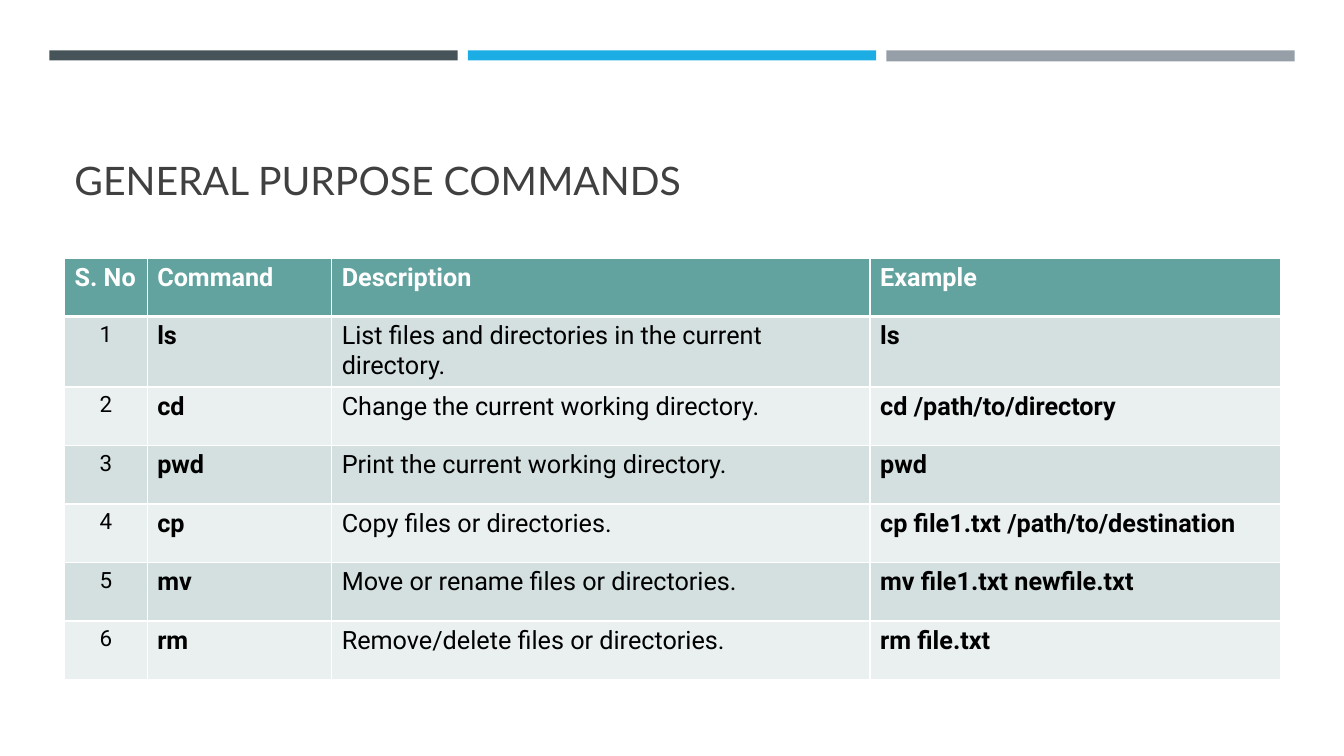
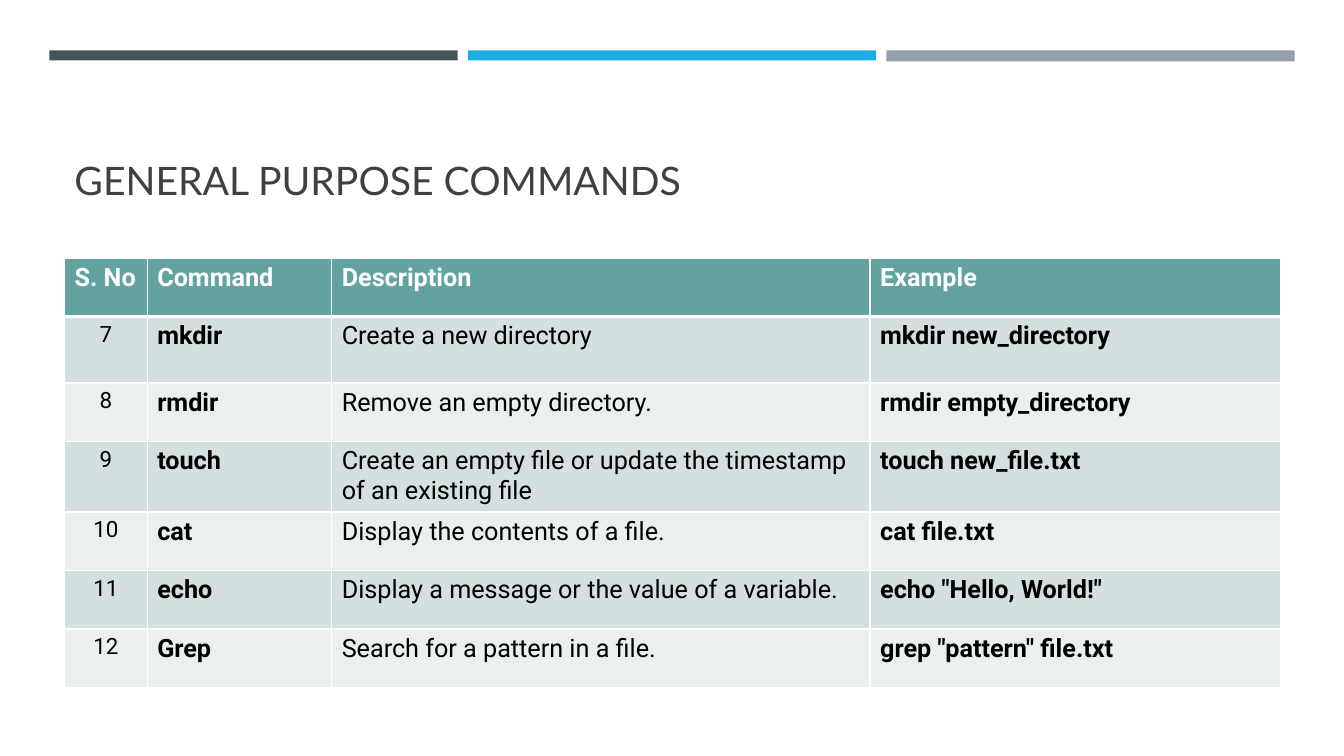
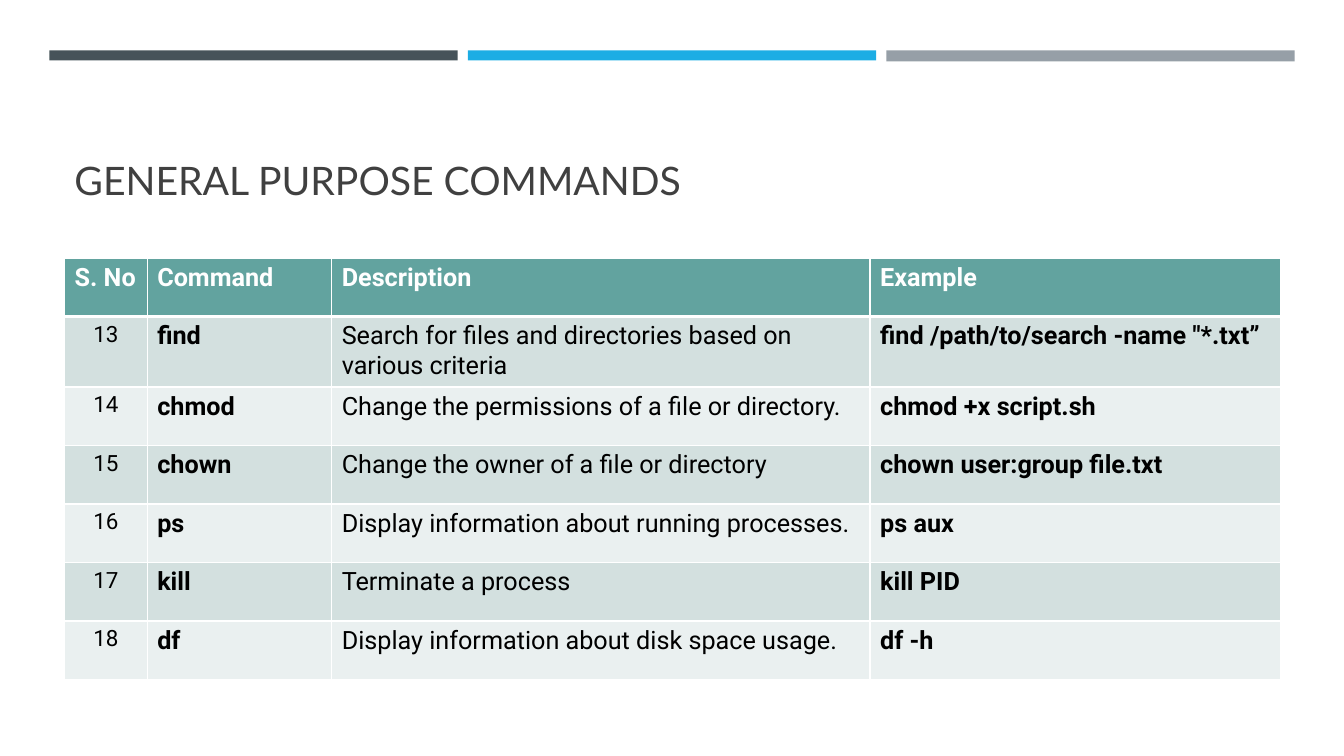
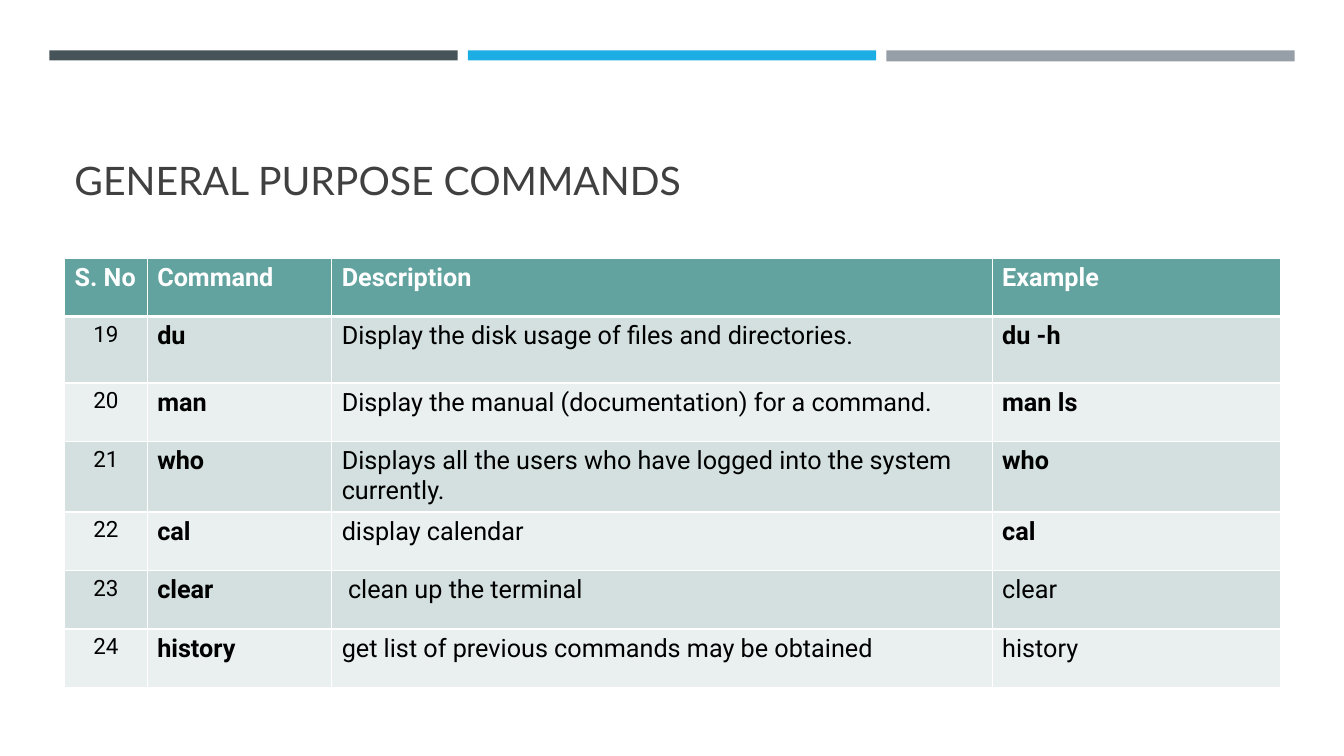
from pptx import Presentation
from pptx.dml.color import RGBColor
from pptx.enum.shapes import MSO_SHAPE as Shape
from pptx.enum.text import MSO_ANCHOR as Anchor, PP_ALIGN as Align
from pptx.oxml import parse_xml
from pptx.oxml.ns import nsdecls
from pptx.util import Pt

PX = 9144
SLATE = RGBColor(0x46, 0x53, 0x59)
BLUE = RGBColor(0x1C, 0xAD, 0xE4)
GREY = RGBColor(0x96, 0x9F, 0xA7)
CHARCOAL = RGBColor(0x40, 0x40, 0x40)
TEAL = RGBColor(0x62, 0xA3, 0x9F)
BAND_DARK = RGBColor(0xD3, 0xE0, 0xDF)
BAND_LIGHT = RGBColor(0xEA, 0xF0, 0xF0)
WHITE = RGBColor(0xFF, 0xFF, 0xFF)
BLACK = RGBColor(0x00, 0x00, 0x00)

TITLE = "GENERAL PURPOSE COMMANDS"
HEADINGS = ("S. No", "Command", "Description", "Example")
ROW_HEIGHTS = [58, 66] + [58] * 5
BARS = ((SLATE, 10), (BLUE, 10), (GREY, 11))
BAR_LEFT, BAR_WIDTH, BAR_STEP = 49, 405, 415
LEFT, WIDTH = 64, 1206
NARROW = (82, 183, 534, 407)
WIDE = (82, 183, 655, 286)

PAGES = (
    (NARROW, (
        ("ls", "List files and directories in the current directory.", "ls"),
        ("cd", "Change the current working directory.", "cd /path/to/directory"),
        ("pwd", "Print the current working directory.", "pwd"),
        ("cp", "Copy files or directories.", "cp file1.txt /path/to/destination"),
        ("mv", "Move or rename files or directories.", "mv file1.txt newfile.txt"),
        ("rm", "Remove/delete files or directories.", "rm file.txt"),
    )),
    (NARROW, (
        ("mkdir", "Create a new directory", "mkdir new_directory"),
        ("rmdir", "Remove an empty directory.", "rmdir empty_directory"),
        ("touch", "Create an empty file or update the timestamp of an existing file",
         "touch new_file.txt"),
        ("cat", "Display the contents of a file.", "cat file.txt"),
        ("echo", "Display a message or the value of a variable.", 'echo "Hello, World!"'),
        ("Grep", "Search for a pattern in a file.", 'grep "pattern" file.txt'),
    )),
    (NARROW, (
        ("find", "Search for files and directories based on various criteria",
         'find /path/to/search -name "*.txt”'),
        ("chmod", "Change the permissions of a file or directory.", "chmod +x script.sh"),
        ("chown", "Change the owner of a file or directory", "chown user:group file.txt"),
        ("ps", "Display information about running processes.", "ps aux"),
        ("kill", "Terminate a process", "kill PID"),
        ("df", "Display information about disk space usage.", "df -h"),
    )),
    (WIDE, (
        ("du", "Display the disk usage of files and directories.", "du -h"),
        ("man", "Display the manual (documentation) for a command.", "man ls"),
        ("who", "Displays all the users who have logged into the system currently.", "who"),
        ("cal", "display calendar", "cal"),
        ("clear", " clean up the terminal", "clear"),
        ("history", "get list of previous commands may be obtained", "history"),
    )),
)
PLAIN_EXAMPLES = ("clear", "history")


def write(frame, text, size=18, font="Roboto", color=BLACK, bold=False, align=Align.LEFT):
    para = frame.paragraphs[0]
    para.alignment = align
    span = para.add_run()
    span.text = text
    span.font.size = Pt(size)
    span.font.name = font
    span.font.color.rgb = color
    span.font.bold = bold


def paint_cell(cell, color, top, bottom):
    cell.fill.solid()
    cell.fill.fore_color.rgb = color
    properties = cell._tc.get_or_add_tcPr()
    for index, (side, points) in enumerate((("L", 1), ("R", 1), ("T", top), ("B", bottom))):
        properties.insert(index, parse_xml(
            f'<a:ln{side} {nsdecls("a")} w="{Pt(points)}"><a:solidFill>'
            f'<a:srgbClr val="{WHITE}"/></a:solidFill></a:ln{side}>'))


deck = Presentation()
deck.slide_width, deck.slide_height = 1333 * PX, 750 * PX
first_number = 1

for column_widths, commands in PAGES:
    page = deck.slides.add_slide(deck.slide_layouts[6])

    for index, (color, height) in enumerate(BARS):
        bar = page.shapes.add_shape(
            Shape.RECTANGLE, (BAR_LEFT + index * BAR_STEP) * PX, 50 * PX,
            BAR_WIDTH * PX, height * PX)
        bar.shadow.inherit = False
        bar.fill.solid()
        bar.fill.fore_color.rgb = color
        bar.line.fill.background()

    title_box = page.shapes.add_textbox(LEFT * PX, 77 * PX, WIDTH * PX, 130 * PX)
    title_box.text_frame.word_wrap = True
    title_box.text_frame.vertical_anchor = Anchor.BOTTOM
    write(title_box.text_frame, TITLE, size=28, font="Lato", color=CHARCOAL)

    table = page.shapes.add_table(
        len(ROW_HEIGHTS), len(HEADINGS), LEFT * PX, 256 * PX,
        WIDTH * PX, sum(ROW_HEIGHTS) * PX).table
    for column, width in zip(table.columns, column_widths):
        column.width = width * PX
    for row, height in zip(table.rows, ROW_HEIGHTS):
        row.height = height * PX

    for cell, heading in zip(table.rows[0].cells, HEADINGS):
        paint_cell(cell, TEAL, top=1, bottom=3)
        write(cell.text_frame, heading, color=WHITE, bold=True)

    for index, (command, description, example) in enumerate(commands):
        cells = list(table.rows[index + 1].cells)
        for cell in cells:
            paint_cell(cell, BAND_LIGHT if index % 2 else BAND_DARK,
                       top=1 if index else 3, bottom=1)
        number, name, meaning, sample = [cell.text_frame for cell in cells]
        write(number, str(first_number + index), size=16, align=Align.CENTER)
        write(name, command, bold=True)
        write(meaning, description)
        write(sample, example, bold=example not in PLAIN_EXAMPLES)
    first_number += len(commands)

deck.save("out.pptx")
